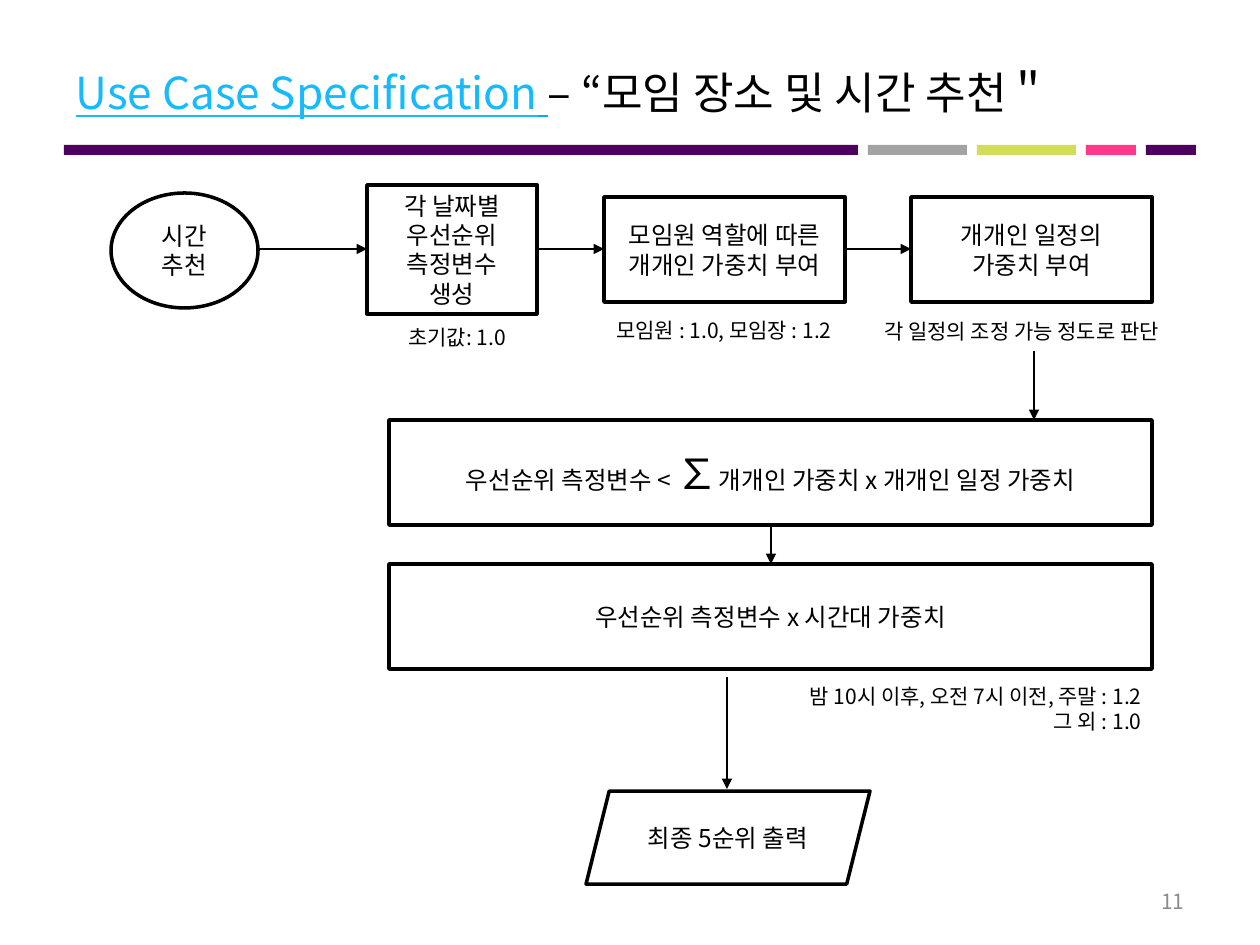
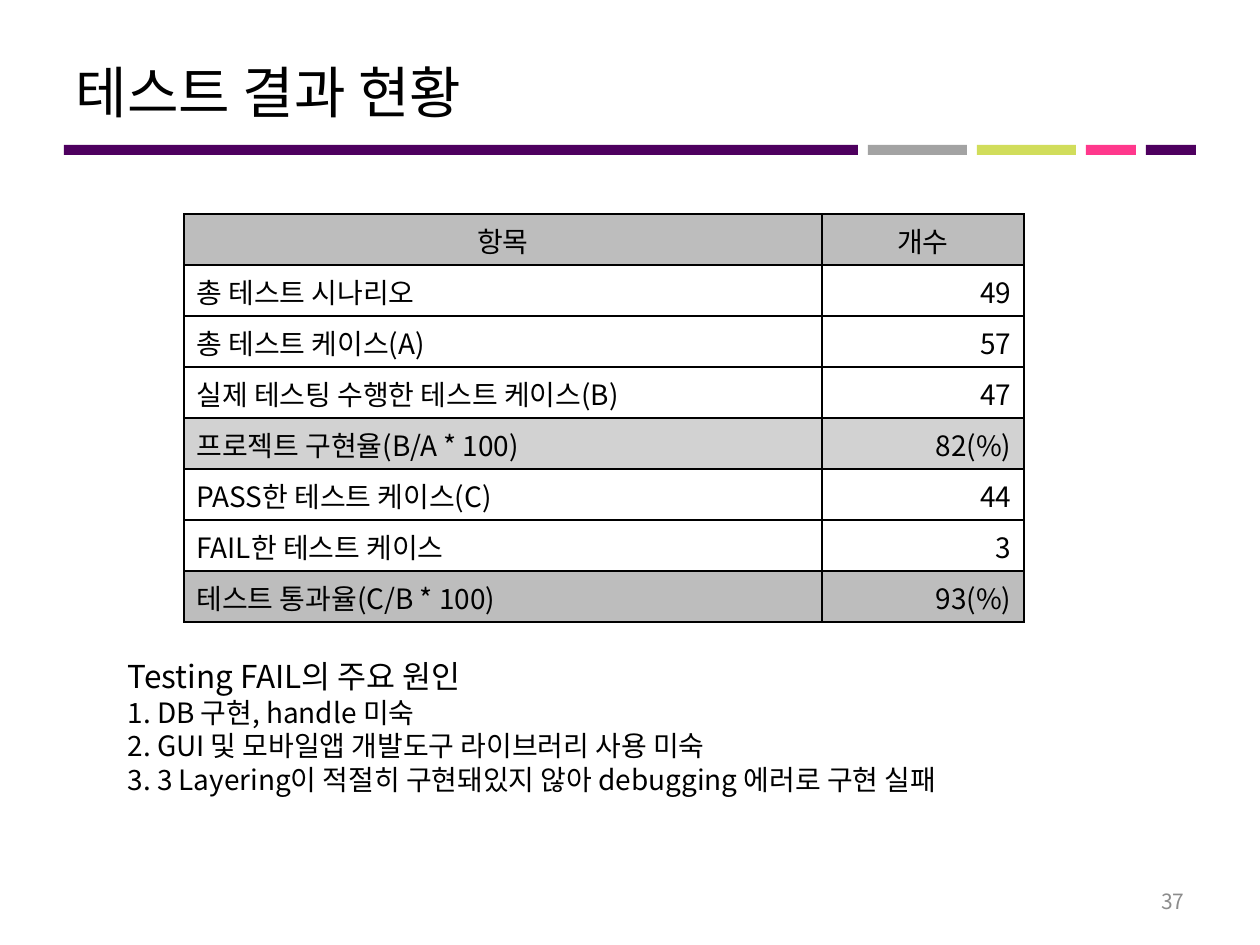
from lxml.etree import SubElement
from pptx import Presentation
from pptx.dml.color import RGBColor
from pptx.enum.shapes import MSO_CONNECTOR, MSO_SHAPE
from pptx.enum.text import MSO_ANCHOR, MSO_AUTO_SIZE, PP_ALIGN
from pptx.oxml.ns import qn
from pptx.util import Emu, Pt

FONT = "Noto Sans CJK KR"
BLACK, WHITE, PURPLE = "000000", "FFFFFF", "4E005F"
PAGE_GRAY, STRONG_GRAY, SOFT_GRAY = "8C8C8C", "BDBDBD", "D2D2D2"
BANDS = [(794, PURPLE), (99, "A3A3A3"), (99, "D1DD5B"), (50, "FF388C"), (50, PURPLE)]
BAND_LEFT, BAND_TOP, BAND_HEIGHT, BAND_GAP = 64, 145, 10, 10
ALIGNMENTS = {"left": PP_ALIGN.LEFT, "center": PP_ALIGN.CENTER, "right": PP_ALIGN.RIGHT}

RESULTS = [
    ("항목", "개수", STRONG_GRAY),
    ("총 테스트 시나리오", "49", WHITE),
    ("총 테스트 케이스(A)", "57", WHITE),
    ("실제 테스팅 수행한 테스트 케이스(B)", "47", WHITE),
    ("프로젝트 구현율(B/A * 100)", "82(%)", SOFT_GRAY),
    ("PASS한 테스트 케이스(C)", "44", WHITE),
    ("FAIL한 테스트 케이스", "3", WHITE),
    ("테스트 통과율(C/B * 100)", "93(%)", STRONG_GRAY),
]
FAIL_CAUSES = [
    [("Testing FAIL의 주요 원인", {"size": 18})],
    "1. DB 구현, handle 미숙",
    "2. GUI 및 모바일앱 개발도구 라이브러리 사용 미숙",
    "3. 3 Layering이 적절히 구현돼있지 않아 debugging 에러로 구현 실패",
]


def px(length):
    """Turn pixels into EMU."""
    return Emu(round(length * 914400 / 126))


def rgb(value):
    """Turn a hex string into a colour."""
    return RGBColor.from_string(value)


def place(shape, left, top, width, height):
    """Move and size a shape."""
    shape.left, shape.top = px(left), px(top)
    shape.width, shape.height = px(width), px(height)


def add_run(paragraph, text, size, color, underline=False):
    """Add one formatted run."""
    run = paragraph.add_run()
    run.text = text
    run.font.size = Pt(size)
    run.font.color.rgb = rgb(color)
    run.font.name = FONT
    if underline:
        run.font.underline = True
    SubElement(run.font._element, qn("a:ea"), typeface=FONT)


def write(frame, paragraphs, size=14, color=BLACK, align="left", anchor=MSO_ANCHOR.TOP, plain_list=False):
    """Fill a text frame; a paragraph is a string or a list of (text, format) runs."""
    frame.word_wrap = True
    frame.vertical_anchor = anchor
    for index, content in enumerate(paragraphs):
        paragraph = frame.add_paragraph() if index else frame.paragraphs[0]
        paragraph.alignment = ALIGNMENTS[align]
        if plain_list:
            properties = paragraph._p.get_or_add_pPr()
            properties.set("marL", "0")
            properties.set("indent", "0")
            SubElement(properties, qn("a:buNone"))
            paragraph.space_before = Pt(0)
        runs = [(content, {})] if isinstance(content, str) else content
        for text, changes in runs:
            add_run(paragraph, text, **{"size": size, "color": color, **changes})


def add_note(slide, bounds, *paragraphs, **text_format):
    """Add a text box."""
    left, top, width, height = map(px, bounds)
    note = slide.shapes.add_textbox(left, top, width, height)
    write(note.text_frame, paragraphs, **{"size": 12, **text_format})


def add_step(slide, bounds, *paragraphs, kind=MSO_SHAPE.RECTANGLE):
    """Add an outlined flowchart step with centred text."""
    step = slide.shapes.add_shape(kind, *map(px, bounds))
    step.shadow.inherit = False
    step.fill.background()
    step.line.color.rgb = rgb(BLACK)
    step.line.width = Pt(2)
    write(step.text_frame, paragraphs, align="center", anchor=MSO_ANCHOR.MIDDLE)


def add_arrow(slide, start_x, start_y, end_x, end_y):
    """Add a thin arrow between two points."""
    arrow = slide.shapes.add_connector(
        MSO_CONNECTOR.STRAIGHT, px(start_x), px(start_y), px(end_x), px(end_y))
    arrow.line.color.rgb = rgb(BLACK)
    arrow.line.width = Pt(0.75)
    SubElement(arrow.line._get_or_add_ln(), qn("a:tailEnd"), type="triangle")
    SubElement(arrow._element.spPr, qn("a:effectLst"))


def add_bands(slide):
    """Draw the coloured rule below the title."""
    left = BAND_LEFT
    for width, color in BANDS:
        band = slide.shapes.add_shape(
            MSO_SHAPE.RECTANGLE, px(left), px(BAND_TOP), px(width), px(BAND_HEIGHT))
        band.shadow.inherit = False
        band.fill.solid()
        band.fill.fore_color.rgb = rgb(color)
        band.line.fill.background()
        left += width + BAND_GAP


def add_page(deck, layout_index, title, title_size, number):
    """Add a slide with its title, bands and page number."""
    slide = deck.slides.add_slide(deck.slide_layouts[layout_index])
    add_bands(slide)
    heading = slide.shapes.title
    place(heading, 63, 38, 1134, 107)
    heading.text_frame.auto_size = MSO_AUTO_SIZE.NONE
    write(heading.text_frame, [title], size=title_size, anchor=MSO_ANCHOR.MIDDLE)
    add_note(slide, (903, 876, 294, 50), number,
             color=PAGE_GRAY, align="right", anchor=MSO_ANCHOR.MIDDLE)
    return slide


def add_borders(cell):
    """Draw a black line on each side of a cell."""
    properties = cell._tc.get_or_add_tcPr()
    for side in ("lnL", "lnR", "lnT", "lnB"):
        border = SubElement(properties, qn(f"a:{side}"), w=str(Pt(1)))
        fill = SubElement(border, qn("a:solidFill"))
        SubElement(fill, qn("a:srgbClr"), val=BLACK)


def add_results_table(slide):
    """Add the table of test results."""
    bounds = map(px, (184, 214, 840, 408))
    table = slide.shapes.add_table(len(RESULTS), 2, *bounds).table
    table.first_row = table.horz_banding = False
    for column, width in zip(table.columns, (638, 202)):
        column.width = px(width)
    for row, (item, count, color) in enumerate(RESULTS):
        for column, (text, align) in enumerate([(item, "left"), (count, "right")]):
            cell = table.cell(row, column)
            add_borders(cell)
            cell.fill.solid()
            cell.fill.fore_color.rgb = rgb(color)
            write(cell.text_frame, [text], size=16, align=align if row else "center")


def build_flow(deck):
    """Build the time recommendation flowchart."""
    title = [
        ("Use Case Specification", {"color": "17BBFD", "underline": True}),
        (" ", {"color": "00B0F0", "underline": True}),
        ("– “모임 장소 및 시간 추천＂", {}),
    ]
    slide = add_page(deck, 5, title, 25.2, "11")
    add_step(slide, (111, 193, 147, 115), "시간", "추천", kind=MSO_SHAPE.OVAL)
    add_step(slide, (367, 185, 170, 129), "각 날짜별", "우선순위", "측정변수", "생성")
    add_step(slide, (604, 197, 241, 105), "모임원 역할에 따른 개개인 가중치 부여")
    add_step(slide, (911, 197, 241, 105), "개개인 일정의", "가중치 부여")
    add_step(slide, (389, 420, 763, 105), [
        ("우선순위 측정변수 < ", {}),
        ("∑", {"size": 24}),
        ("개개인 가중치 x 개개인 일정 가중치", {}),
    ])
    add_step(slide, (389, 564, 763, 105), "우선순위 측정변수 x 시간대 가중치")
    add_step(slide, (586, 791, 284, 93), "최종 5순위 출력", kind=MSO_SHAPE.PARALLELOGRAM)

    add_note(slide, (396, 318, 126, 38), "초기값: 1.0")
    add_note(slide, (604, 311, 248, 38), "모임원 : 1.0, 모임장 : 1.2")
    add_note(slide, (872, 312, 325, 38), "각 일정의 조정 가능 정도로 판단")
    add_note(slide, (781, 677, 373, 63),
             "밤 10시 이후, 오전 7시 이전, 주말 : 1.2", "그 외 : 1.0", align="right")

    for start, end in ((258, 367), (537, 604), (845, 911)):
        add_arrow(slide, start, 249, end, 249)
    for center, start, end in ((1034, 351, 420), (771, 525, 564), (727, 677, 789)):
        add_arrow(slide, center, start, center, end)


def build_results(deck):
    """Build the test result summary."""
    slide = add_page(deck, 1, "테스트 결과 현황", 32, "37")
    add_results_table(slide)
    causes = slide.placeholders[1]
    place(causes, 115, 651, 953, 152)
    causes.text_frame.auto_size = MSO_AUTO_SIZE.NONE
    write(causes.text_frame, FAIL_CAUSES, size=16, plain_list=True)


def main():
    """Build and save the deck."""
    deck = Presentation()
    deck.slide_width, deck.slide_height = px(1260), px(945)
    build_flow(deck)
    build_results(deck)
    deck.save("out.pptx")


if __name__ == "__main__":
    main()
